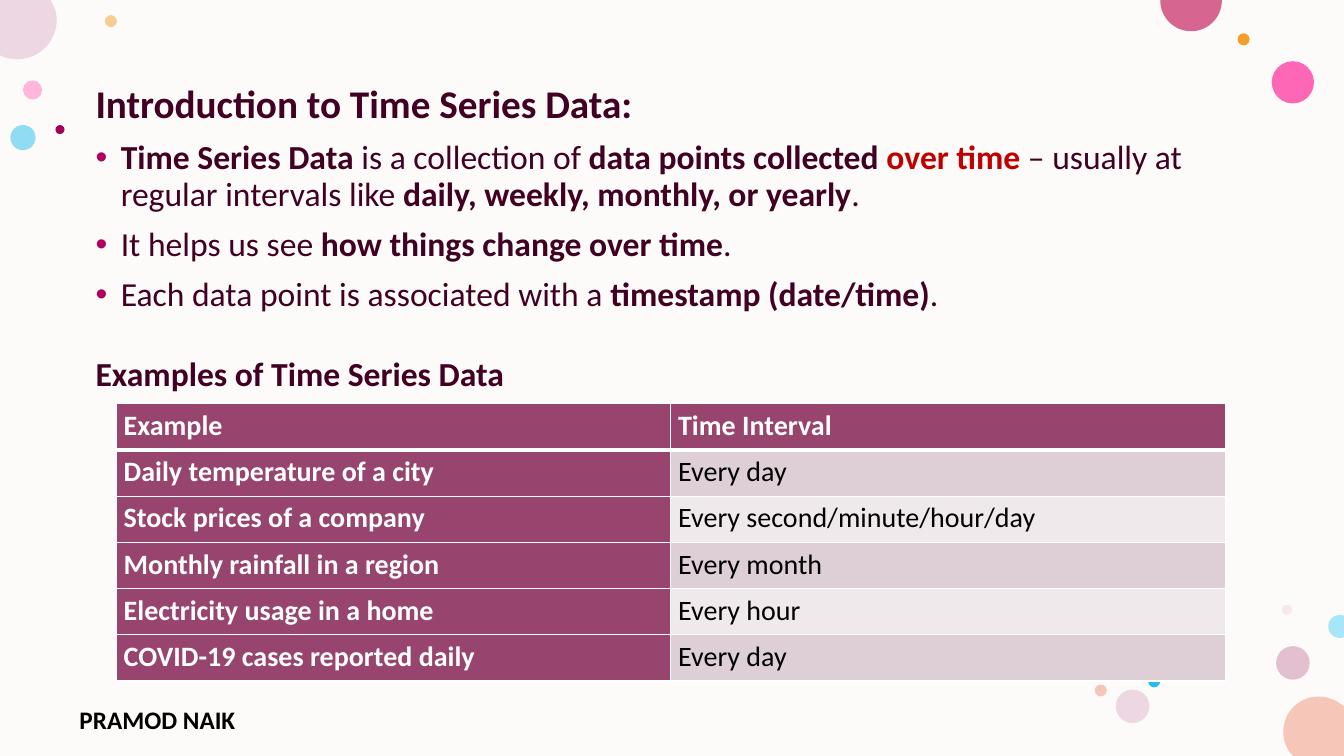
from lxml import etree
from pptx import Presentation
from pptx.dml.color import RGBColor
from pptx.enum.shapes import MSO_SHAPE
from pptx.oxml.ns import qn
from pptx.util import Pt

ELLIPSE = MSO_SHAPE.OVAL
RECTANGLE = MSO_SHAPE.RECTANGLE
PAGE_WIDTH, PAGE_HEIGHT = 960, 540


class Theme:
    font = "Calibri"
    page = "FDFBF9"
    ink = "420023"
    bullet = "B1005E"
    accent = "C00000"
    black = "000000"
    white = "FFFFFF"
    header = "97446E"
    bands = ("DDCFD5", "EFE9EB")
    title_size, body_size, cell_size, footer_size = 28, 24, 20, 18


# Left, top, diameter, colour, opacity in percent
BUBBLES = [
    (16.4, 57.4, 13.7, "FF75BD", 50),
    (74.9, 10.8, 8.6, "F39E29", 50),
    (911.5, 461.5, 24, "C987A8", 50),
    (7.4, 89.3, 18, "24BEEE", 50),
    (908.4, 43.7, 30.2, "FF2F9C", 72),
    (884, 23.8, 8.6, "F39E29", 100),
    (915.8, 432, 7.2, "E3BEBE", 28),
    (820.1, 482.4, 8.6, "24BEEE", 100),
    (797, 492.5, 24, "EDD7E2", 100),
    (782, 488.9, 8.6, "F6C7B9", 100),
    (39.6, 89.3, 6.5, "A40056", 100),
]

# Colour, start, then lines (x, y) and curves (two controls and an end)
EDGE_BUBBLES = [
    ("F6C7B9", (941.8, 497.5),
     [(948.7, 497.5, 955.1, 500.3, 960, 504.7), (960, 540), (923.8, 540),
      (922.3, 538.6), (918.7, 534.2, 916.6, 528.7, 916.6, 522.7),
      (916.6, 508.8, 927.9, 497.5, 941.8, 497.5)]),
    ("EDD7E2", (0, 0),
     [(36, 0), (38, 3.5), (39.6, 6.7, 40.5, 10.3, 40.5, 14.2),
      (40.5, 29.7, 27.9, 42.4, 12.3, 42.4),
      (8.4, 42.4, 4.7, 41.6, 1.4, 40.2), (0, 39.4)]),
    ("D6658F", (829, 0),
     [(872.7, 0), (872.8, 0.4), (872.8, 12.5, 862.9, 22.3, 850.8, 22.3),
      (838.7, 22.3, 828.8, 12.5, 828.8, 0.4)]),
    ("A7E5F8", (957, 439.2),
     [(960, 439.8), (960, 455.2), (957, 455.8),
      (952.4, 455.8, 948.7, 452.1, 948.7, 447.5),
      (948.7, 442.9, 952.4, 439.2, 957, 439.2)]),
]

# Each span: text, bold, optional colour
BULLETS = [
    [("Time Series Data", True), (" is a collection of ", False),
     ("data points collected ", True), ("over time ", True, Theme.accent),
     ("– usually at regular intervals like ", False),
     ("daily, weekly, monthly, or yearly", True), (".", False)],
    [("It helps us see ", False), ("how things change over time", True),
     (".", False)],
    [("Each data point is associated with a ", False),
     ("timestamp (date/time)", True), (".", False)],
]

EXAMPLES = [
    ("Example", "Time Interval"),
    ("Daily temperature of a city", "Every day"),
    ("Stock prices of a company", "Every second/minute/hour/day"),
    ("Monthly rainfall in a region", "Every month"),
    ("Electricity usage in a home", "Every hour"),
    ("COVID-19 cases reported daily", "Every day"),
]


def rgb(colour):
    return RGBColor.from_string(colour)


def paint(shape, colour, opacity=100):
    shape.shadow.inherit = False
    shape.line.fill.background()
    shape.fill.solid()
    shape.fill.fore_color.rgb = rgb(colour)
    if opacity < 100:
        tint = shape.fill._xPr.find(".//" + qn("a:srgbClr"))
        etree.SubElement(tint, qn("a:alpha"), val=str(opacity * 1000))


def add_bubble(page, left, top, diameter, colour, opacity):
    bubble = page.shapes.add_shape(
        ELLIPSE, Pt(left), Pt(top), Pt(diameter), Pt(diameter))
    paint(bubble, colour, opacity)


def add_edge_bubble(page, colour, start, segments):
    """Bubble cut off by the page edge, with its round parts as curves."""
    outline = page.shapes.build_freeform(Pt(start[0]), Pt(start[1]))
    outline.add_line_segments(
        [(Pt(segment[-2]), Pt(segment[-1])) for segment in segments])
    bubble = outline.convert_to_shape()
    lines = list(bubble._element.iter(qn("a:lnTo")))
    for line, segment in zip(lines, segments):
        if len(segment) == 2:
            continue
        line.tag = qn("a:cubicBezTo")
        controls = (segment[:2], segment[2:4])
        for position, (x, y) in enumerate(controls):
            point = etree.Element(qn("a:pt"), x=str(Pt(x) - bubble.left),
                                  y=str(Pt(y) - bubble.top))
            line.insert(position, point)
    paint(bubble, colour)


def add_text_box(page, left, top, width, height):
    box = page.shapes.add_textbox(Pt(left), Pt(top), Pt(width), Pt(height))
    box.text_frame.word_wrap = True
    return box.text_frame


def set_font(para, size, colour, bold=None):
    para.font.name = Theme.font
    para.font.size = Pt(size)
    para.font.color.rgb = rgb(colour)
    para.font.bold = bold


def write_heading(para, text, size, space_before=0):
    para.text = text
    para.line_spacing = 0.9
    para.space_before = Pt(space_before)
    set_font(para, size, Theme.ink, True)


def write_bullet(para, spans):
    para.line_spacing = 0.9
    para.space_before = Pt(10)
    props = para._p.get_or_add_pPr()
    props.set("marL", str(Pt(18)))
    props.set("indent", str(Pt(-18)))
    bullet_colour = etree.SubElement(props, qn("a:buClr"))
    etree.SubElement(bullet_colour, qn("a:srgbClr"), val=Theme.bullet)
    etree.SubElement(props, qn("a:buFont"), typeface="Arial")
    etree.SubElement(props, qn("a:buChar"), char="•")
    set_font(para, Theme.body_size, Theme.ink)
    for text, bold, *colour in spans:
        span = para.add_run()
        span.text = text
        span.font.bold = bold
        if colour:
            span.font.color.rgb = rgb(colour[0])


def set_borders(cell, top, bottom):
    props = cell._tc.get_or_add_tcPr()
    widths = {"lnL": 1, "lnR": 1, "lnT": top, "lnB": bottom}
    for position, (side, width) in enumerate(widths.items()):
        line = etree.Element(qn("a:" + side), w=str(Pt(width)))
        fill = etree.SubElement(line, qn("a:solidFill"))
        etree.SubElement(fill, qn("a:srgbClr"), val=Theme.white)
        props.insert(position, line)


def add_table(page, rows, left, top, column_width, row_height):
    columns = len(rows[0])
    table = page.shapes.add_table(
        len(rows), columns, Pt(left), Pt(top),
        Pt(column_width * columns), Pt(row_height * len(rows))).table
    table.horz_banding = False
    for column in table.columns:
        column.width = Pt(column_width)
    for r, values in enumerate(rows):
        table.rows[r].height = Pt(row_height)
        for c, text in enumerate(values):
            cell = table.cell(r, c)
            strong = r == 0 or c == 0
            cell.fill.solid()
            cell.fill.fore_color.rgb = rgb(
                Theme.header if strong else Theme.bands[(r - 1) % 2])
            cell.margin_left = cell.margin_right = Pt(5.2)
            cell.margin_top = cell.margin_bottom = 0
            set_borders(cell, 3 if r == 1 else 1, 3 if r == 0 else 1)
            para = cell.text_frame.paragraphs[0]
            para.text = text
            para.line_spacing = 1.15
            para.space_after = Pt(8)
            set_font(para, Theme.cell_size,
                     Theme.white if strong else Theme.black, strong)


def main():
    deck = Presentation()
    deck.slide_width, deck.slide_height = Pt(PAGE_WIDTH), Pt(PAGE_HEIGHT)
    page = deck.slides.add_slide(deck.slide_layouts[6])

    # Backdrop and bubbles
    backdrop = page.shapes.add_shape(
        RECTANGLE, 0, 0, Pt(PAGE_WIDTH), Pt(PAGE_HEIGHT))
    paint(backdrop, Theme.page)
    for bubble in BUBBLES:
        add_bubble(page, *bubble)
    for bubble in EDGE_BUBBLES:
        add_edge_bubble(page, *bubble)

    # Footer
    footer = add_text_box(page, 49.7, 499.7, 176.4, 23).paragraphs[0]
    footer.text = "PRAMOD NAIK"
    set_font(footer, Theme.footer_size, Theme.black, True)

    # Headings and bullets
    body = add_text_box(page, 61.2, 56.9, 839.5, 429.8)
    write_heading(body.paragraphs[0], "Introduction to Time Series Data:",
                  Theme.title_size)
    for spans in BULLETS:
        write_bullet(body.add_paragraph(), spans)
    write_heading(body.add_paragraph(), "Examples of Time Series Data",
                  Theme.body_size, space_before=31)

    # Examples table
    add_table(page, EXAMPLES, 83.2, 288.4, 396, 33)
    deck.save("out.pptx")


if __name__ == "__main__":
    main()
